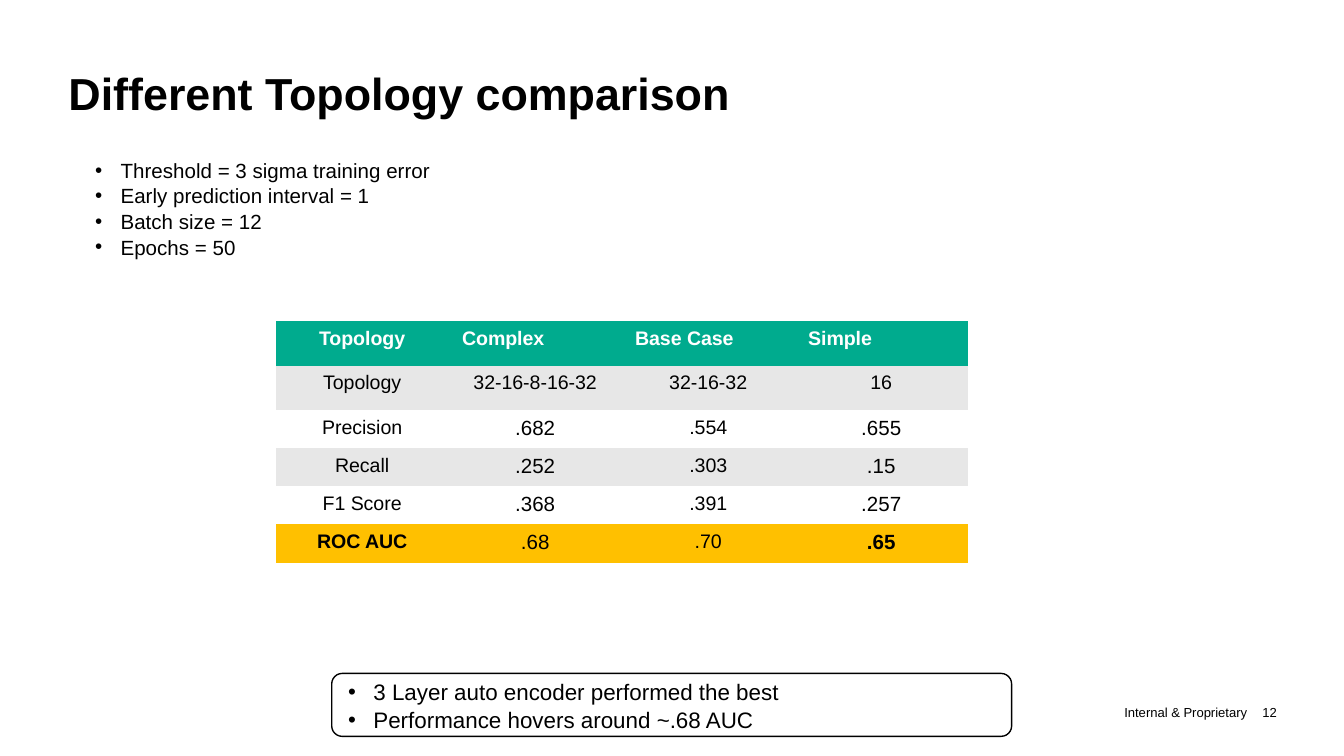
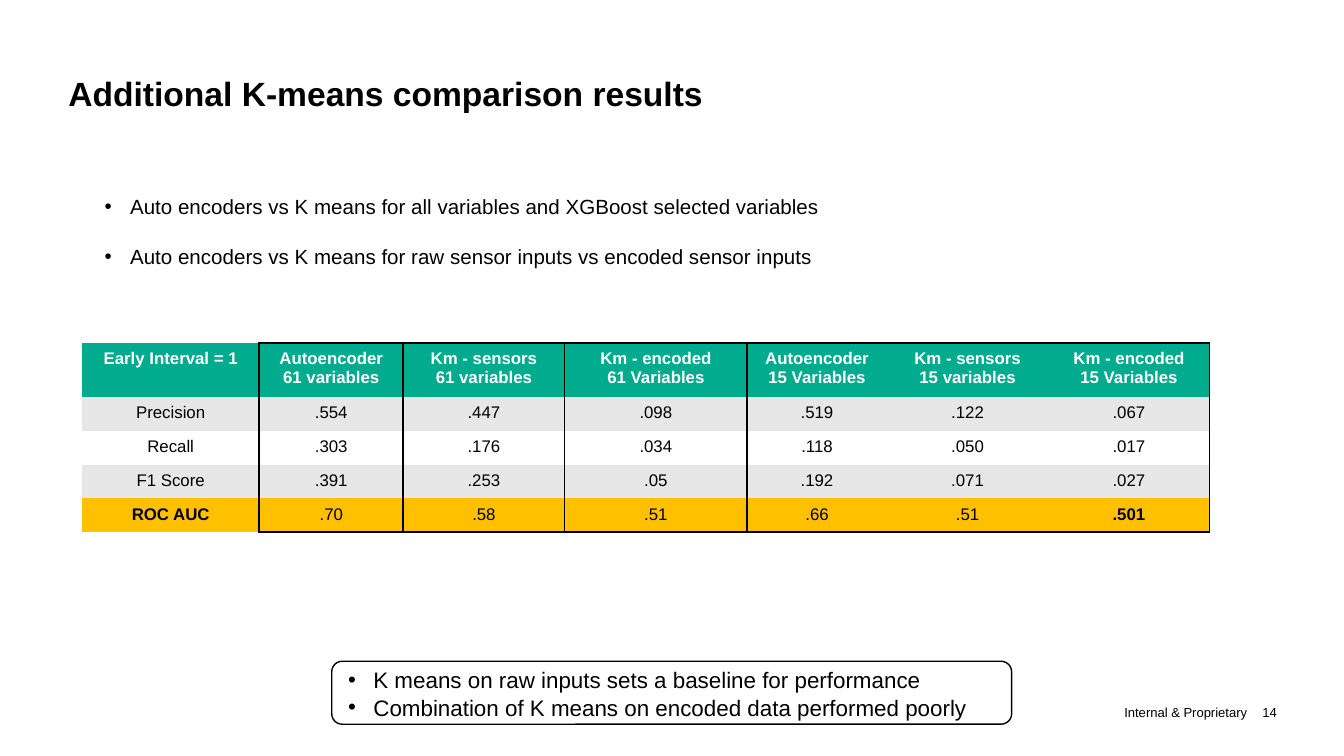
from lxml.etree import SubElement
from pptx import Presentation
from pptx.dml.color import RGBColor
from pptx.enum.shapes import MSO_SHAPE
from pptx.enum.text import MSO_ANCHOR, MSO_AUTO_SIZE, PP_ALIGN
from pptx.oxml.ns import qn
from pptx.util import Cm, Pt

FONT = "Arial"
COLORS = {
    "text": "000000",
    "header": "00AB8E",
    "header_text": "FFFFFF",
    "band": "E7E7E7",
    "plain": "FFFFFF",
    "highlight": "FFC000",
    "line": "000000",
}
NO_GRID_STYLE = "{2D5ABB26-0587-4C30-8999-92F81FD0307C}"

TITLE_BOX = (1.04, 0.97, 22.86, 1.57)
FOOTER_BOX = (14.66, 13.18, 9.47, 0.56)
FOOTER_TAB = 2.54
BULLET_INDENT = 0.48


def color(name):
    return RGBColor.from_string(COLORS[name])


def place(box):
    return [Cm(length) for length in box]


def add_bullet(paragraph):
    properties = paragraph._p.get_or_add_pPr()
    properties.set("marL", str(Cm(BULLET_INDENT)))
    properties.set("indent", str(-Cm(BULLET_INDENT)))
    SubElement(properties, qn("a:buFont"), typeface=FONT)
    SubElement(properties, qn("a:buChar"), char="•")


def add_tab_stop(paragraph, position):
    tabs = SubElement(paragraph._p.get_or_add_pPr(), qn("a:tabLst"))
    SubElement(tabs, qn("a:tab"), pos=str(Cm(position)), algn="l")


def write_text(frame, text, size=11, ink="text", bold=False, align=PP_ALIGN.LEFT,
               anchor=None, bullets=False, gap=0, tab=None, line_spacing=None):
    """Write each line of the text as one paragraph; gap is the space between them in points."""
    frame.word_wrap = True
    if anchor is not None:
        frame.vertical_anchor = anchor
    for index, line in enumerate(text.split("\n")):
        paragraph = frame.add_paragraph() if index else frame.paragraphs[0]
        if bullets:
            add_bullet(paragraph)
        if tab:
            add_tab_stop(paragraph, tab)
        paragraph.alignment = align
        if line_spacing:
            paragraph.line_spacing = line_spacing
        if index and gap:
            paragraph.space_before = Pt(gap)
        run = paragraph.add_run()
        run.text = line
        run.font.name = FONT
        run.font.size = Pt(size)
        run.font.bold = bold
        run.font.color.rgb = color(ink)


def add_title(slide, text, size):
    title = slide.shapes.title
    title.left, title.top, title.width, title.height = place(TITLE_BOX)
    title.text_frame.auto_size = MSO_AUTO_SIZE.NONE
    write_text(title.text_frame, text, size=size, bold=True, anchor=MSO_ANCHOR.MIDDLE)


def add_footer(slide, number):
    frame = slide.shapes.add_textbox(*place(FOOTER_BOX)).text_frame
    frame.margin_left = frame.margin_right = 0
    write_text(frame, f"Internal & Proprietary\t {number}", size=7, align=PP_ALIGN.RIGHT,
               anchor=MSO_ANCHOR.MIDDLE, tab=FOOTER_TAB)


def add_bullet_list(slide, box, text, gap=0):
    frame = slide.shapes.add_textbox(*place(box)).text_frame
    write_text(frame, text, bullets=True, gap=gap, line_spacing=1.04)


def add_callout(slide, top, text):
    shape = slide.shapes.add_shape(MSO_SHAPE.ROUNDED_RECTANGLE, *place((6.27, top, 12.85, 1.19)))
    shape.shadow.inherit = False
    shape.fill.background()
    shape.line.color.rgb = color("line")
    shape.line.width = Pt(0.75)
    write_text(shape.text_frame, text, size=12, anchor=MSO_ANCHOR.MIDDLE,
               bullets=True, line_spacing=1.04)


def draw_borders(cell, sides):
    """Draw the given sides, a subset of "LRTB", in the order the schema asks for."""
    properties = cell._tc.get_or_add_tcPr()
    for side in "LRTB":
        if side in sides:
            line = SubElement(properties, qn(f"a:ln{side}"), w=str(Pt(1)))
            fill = SubElement(line, qn("a:solidFill"))
            SubElement(fill, qn("a:srgbClr"), val=COLORS["line"])


def framed_sides(row, column, last_row, last_column):
    """Frame all but the first column, with upright lines up to the third value column."""
    sides = ""
    if 1 <= column <= 3:
        sides += "L"
    if column <= 2 or column == last_column:
        sides += "R"
    if column and row == 0:
        sides += "T"
    if column and row == last_row:
        sides += "B"
    return sides


def row_fill(row, last_row):
    if row == 0:
        return "header"
    if row == last_row:
        return "highlight"
    return "band" if row % 2 else "plain"


def add_results_table(slide, origin, widths, heights, rows, size_at,
                      header_align=PP_ALIGN.CENTER, framed=False):
    """Place a table at origin; size_at gives the text size for a row and column."""
    box = (*origin, sum(widths), sum(heights))
    table = slide.shapes.add_table(len(rows), len(widths), *place(box)).table
    table._tbl.tblPr.find(qn("a:tableStyleId")).text = NO_GRID_STYLE
    for column, width in zip(table.columns, widths):
        column.width = Cm(width)
    for row, height in zip(table.rows, heights):
        row.height = Cm(height)

    last_row, last_column = len(rows) - 1, len(widths) - 1
    for r, values in enumerate(rows):
        for c, value in enumerate(values):
            cell = table.cell(r, c)
            if framed:
                draw_borders(cell, framed_sides(r, c, last_row, last_column))
            cell.fill.solid()
            cell.fill.fore_color.rgb = color(row_fill(r, last_row))
            write_text(
                cell.text_frame, value, size=size_at(r, c),
                ink="text" if r else "header_text",
                bold=r == 0 or (r == last_row and c in (0, last_column)),
                align=header_align if r == 0 and c else PP_ALIGN.CENTER,
            )


def start_slide(presentation, title, title_size, number):
    slide = presentation.slides.add_slide(presentation.slide_layouts[5])
    add_title(slide, title, title_size)
    add_footer(slide, number)
    return slide


def build_topology_slide(presentation):
    slide = start_slide(presentation, "Different Topology comparison", 24, 12)
    rows = [
        ("Topology", "Complex", "Base Case", "Simple"),
        ("Topology", "32-16-8-16-32", "32-16-32", "16"),
        ("Precision", ".682", ".554", ".655"),
        ("Recall", ".252", ".303", ".15"),
        ("F1 Score", ".368", ".391", ".257"),
        ("ROC AUC", ".68", ".70", ".65"),
    ]
    add_results_table(
        slide, (5.21, 6.07), [3.27] * 4, [0.84] * 2 + [0.69] * 4, rows,
        size_at=lambda row, column: 11 if row > 1 and column in (1, 3) else 10.5,
        header_align=PP_ALIGN.LEFT,
    )
    add_bullet_list(slide, (1.55, 2.84, 11.15, 2.62),
                    "Threshold = 3 sigma training error\n"
                    "Early prediction interval = 1\n"
                    "Batch size = 12\n"
                    "Epochs = 50")
    add_callout(slide, 12.73,
                "3 Layer auto encoder performed the best\n"
                "Performance hovers around ~.68 AUC")


def build_k_means_slide(presentation):
    slide = start_slide(presentation, "Additional K-means comparison results", 18, 14)
    rows = [
        ("Early Interval = 1", "Autoencoder\n61 variables", "Km - sensors\n61 variables",
         "Km - encoded\n61 Variables", "Autoencoder\n15 Variables",
         "Km - sensors\n15 variables", "Km - encoded\n15 Variables"),
        ("Precision", ".554", ".447", ".098", ".519", ".122", ".067"),
        ("Recall", ".303", ".176", ".034", ".118", ".050", ".017"),
        ("F1 Score", ".391", ".253", ".05", ".192", ".071", ".027"),
        ("ROC AUC", ".70", ".58", ".51", ".66", ".51", ".501"),
    ]
    add_results_table(
        slide, (1.55, 6.48), [3.35, 2.72, 3.05, 3.45, 2.64, 3.05, 3.05],
        [1.02] + [0.64] * 4, rows, size_at=lambda row, column: 9, framed=True,
    )
    add_bullet_list(slide, (1.73, 3.53, 16.69, 2.13),
                    "Auto encoders vs K means for all variables and XGBoost selected variables\n"
                    "Auto encoders vs K means for raw sensor inputs vs encoded sensor inputs",
                    gap=13)
    add_callout(slide, 12.5,
                "K means on raw inputs sets a baseline for performance\n"
                "Combination of K means on encoded data performed poorly")


def main():
    presentation = Presentation()
    presentation.slide_width, presentation.slide_height = Cm(25.4), Cm(14.29)
    build_topology_slide(presentation)
    build_k_means_slide(presentation)
    presentation.save("out.pptx")


if __name__ == "__main__":
    main()
